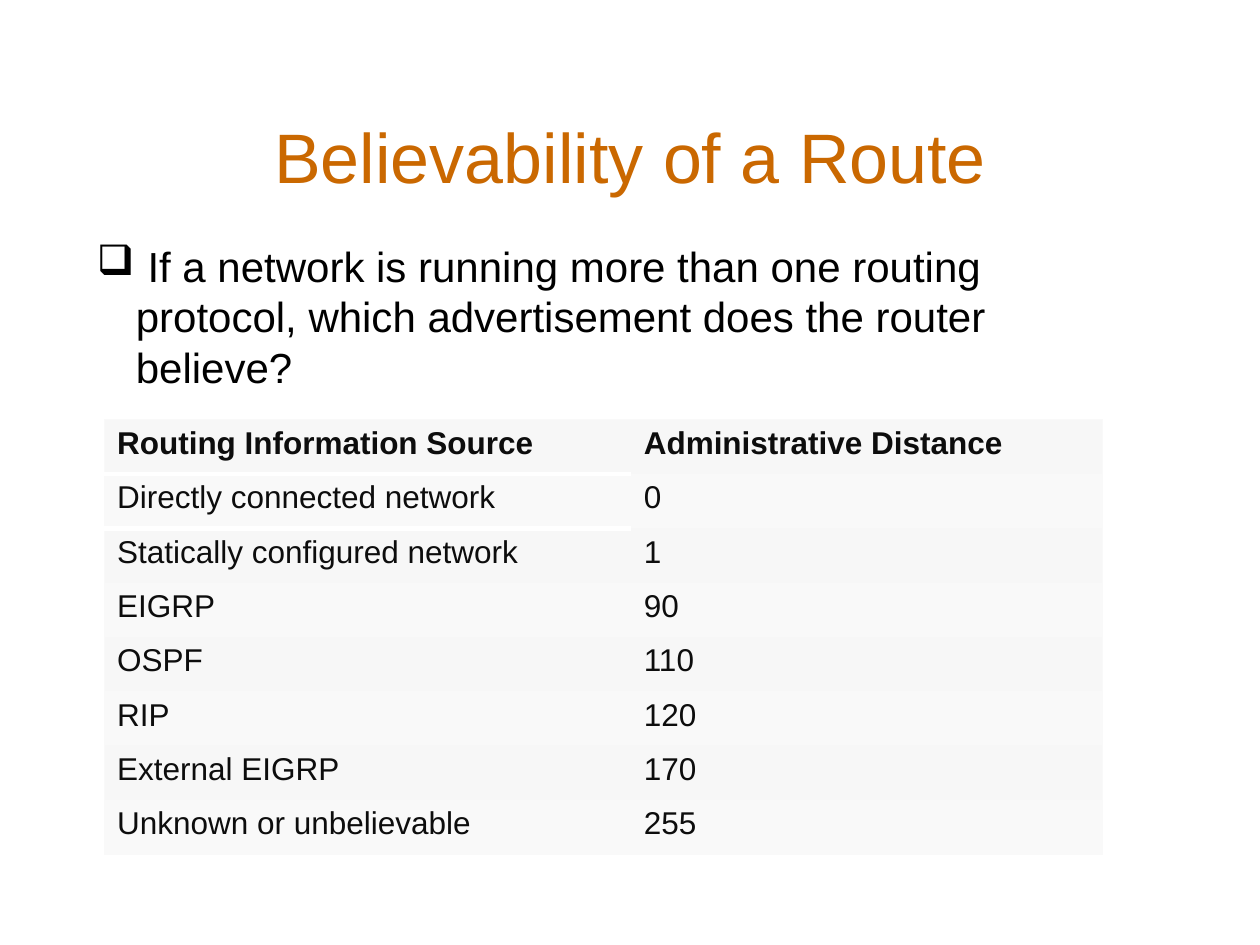
from lxml import etree
from pptx import Presentation, util as u
from pptx.dml.color import RGBColor
from pptx.enum import text
from pptx.oxml import ns

TITLE = "Believability of a Route"
QUESTION = (" If a network is running more than one routing protocol, "
            "which advertisement does the router believe?")
ROUTES = [
    ("Routing Information Source", "Administrative Distance"),
    ("Directly connected network", "0"),
    ("Statically configured network", "1"),
    ("EIGRP", "90"),
    ("OSPF", "110"),
    ("RIP", "120"),
    ("External EIGRP", "170"),
    ("Unknown or unbelievable", "255"),
]
THEME = dict(font="Arial", title="CA6800", body="000000", cell="0D0D0D",
             bands=("F7F7F7", "F9F9F9"), edge="F9F9F9", rule="FFFFFF",
             title_size=40, body_size=24, cell_size=18)
W, H = 10, 7.5
TITLE_BOX = (0.05 * W, 0.92, 0.9 * W, 0.63)
QUESTION_BOX = (0.67, 1.86, 8.08, 1.31)
TABLE_BOX = (0.83, 3.33, 7.92, 3.45)
COLUMNS = (4.18, 3.74)
HANG = 0.31
PLAIN_STYLE = "{2D5ABB26-0587-4C30-8999-92F81FD0307C}"


def write(tf, words, size, color, bold=False, align=text.PP_ALIGN.LEFT,
          anchor=text.MSO_ANCHOR.TOP, bullet=None):
    tf.word_wrap = True
    tf.vertical_anchor = anchor
    p = tf.paragraphs[0]
    p.alignment = align
    r = p.add_run()
    r.text = words
    r.font.name = THEME["font"]
    r.font.size = u.Pt(size)
    r.font.bold = bold
    r.font.color.rgb = RGBColor.from_string(color)
    if bullet:
        pPr = p._p.get_or_add_pPr()
        pPr.set("marL", str(u.Inches(HANG)))
        pPr.set("indent", str(-u.Inches(HANG)))
        etree.SubElement(pPr, ns.qn("a:buChar"), char=bullet)


def border(cell, sides):
    tcPr = cell._tc.get_or_add_tcPr()
    for i, side in enumerate(s for s in "LRTB" if s in sides):
        color, width = sides[side]
        ln = etree.Element(ns.qn("a:ln" + side), w=str(u.Pt(width)))
        fill = etree.SubElement(ln, ns.qn("a:solidFill"))
        etree.SubElement(fill, ns.qn("a:srgbClr"), val=color)
        tcPr.insert(i, ln)


def add_text(s, box, words, **fmt):
    sp = s.shapes.add_textbox(*map(u.Inches, box))
    write(sp.text_frame, words, **fmt)


def add_routes(s):
    n, m = len(ROUTES), len(COLUMNS)
    table = s.shapes.add_table(n, m, *map(u.Inches, TABLE_BOX)).table
    table._tbl.tblPr.find(ns.qn("a:tableStyleId")).text = PLAIN_STYLE
    table.horz_banding = False
    for column, width in zip(table.columns, COLUMNS):
        column.width = u.Inches(width)
    edge, rule = (THEME["edge"], 0.75), (THEME["rule"], 3)
    for i, row in enumerate(ROUTES):
        for j, words in enumerate(row):
            cell = table.cell(i, j)
            write(cell.text_frame, words, THEME["cell_size"], THEME["cell"],
                  bold=i == 0)
            cell.fill.solid()
            cell.fill.fore_color.rgb = RGBColor.from_string(THEME["bands"][i % 2])
            on_edge = dict(L=j == 0, R=j == m - 1, T=i == 0, B=i == n - 1)
            sides = {side: edge for side, on in on_edge.items() if on}
            if j == 0 and i < 2:
                sides["BT"[i]] = rule
            border(cell, sides)


def main():
    prs = Presentation()
    prs.slide_width, prs.slide_height = u.Inches(W), u.Inches(H)
    s = prs.slides.add_slide(prs.slide_layouts[6])
    add_text(s, TITLE_BOX, TITLE, size=THEME["title_size"], color=THEME["title"],
             align=text.PP_ALIGN.CENTER, anchor=text.MSO_ANCHOR.MIDDLE)
    add_routes(s)
    add_text(s, QUESTION_BOX, QUESTION, size=THEME["body_size"],
             color=THEME["body"], bullet="❑")
    prs.save("out.pptx")


if __name__ == "__main__":
    main()
